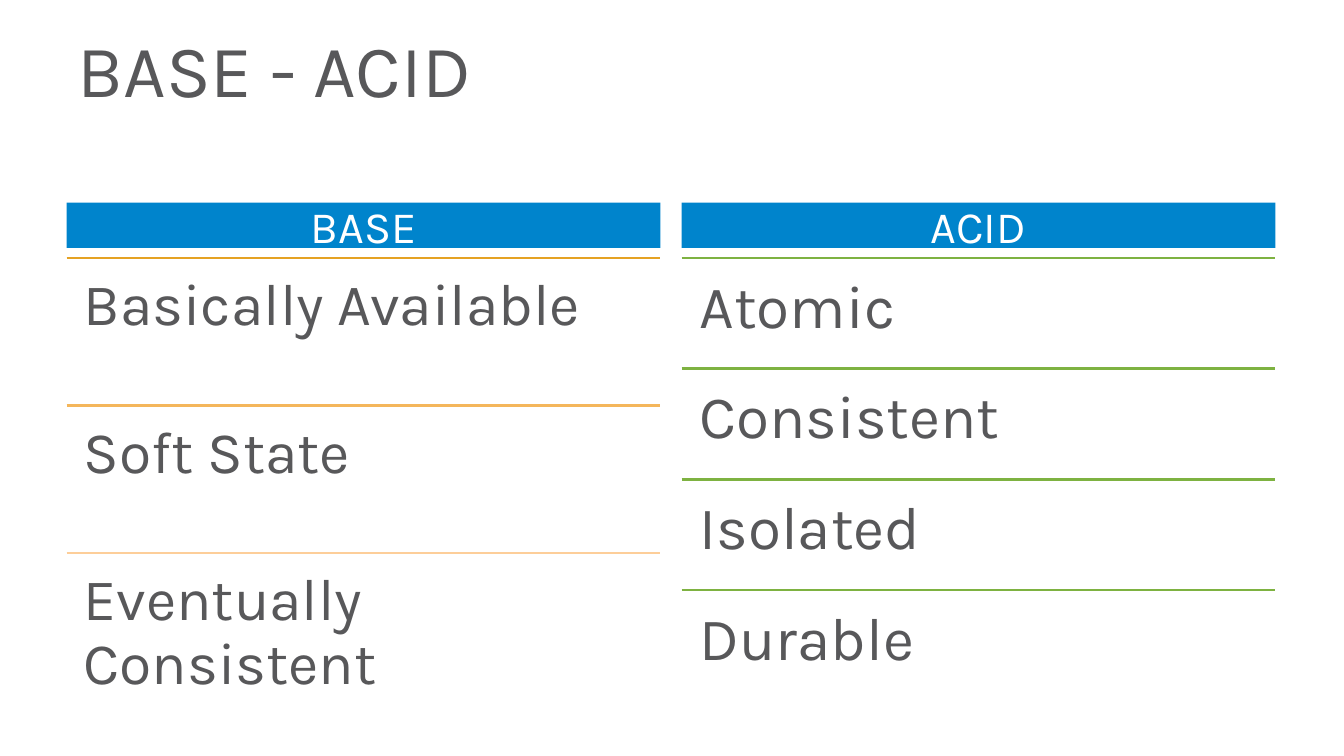
"""Build a slide that sets the BASE properties beside the ACID properties."""
from lxml.etree import SubElement
from pptx import Presentation
from pptx.dml.color import RGBColor
from pptx.enum.shapes import MSO_CONNECTOR
from pptx.enum.text import MSO_ANCHOR, MSO_AUTO_SIZE, PP_ALIGN
from pptx.oxml.ns import qn
from pptx.util import Inches, Pt

GREY = RGBColor(0x58, 0x58, 0x5A)
WHITE = RGBColor(0xFF, 0xFF, 0xFF)
BLUE = RGBColor(0x00, 0x84, 0xCC)
AMBER = RGBColor(0xE5, 0xA2, 0x23)
LIGHT_AMBER = RGBColor(0xF4, 0xB6, 0x5B)
PALE_AMBER = RGBColor(0xFD, 0xCE, 0x99)
GREEN = RGBColor(0x7E, 0xB2, 0x41)

COLUMN_WIDTH = 5.89
ROWS_TOP = 2.56
ROWS_HEIGHT = 4.39


def write(holder, text, size, color=GREY, align=PP_ALIGN.LEFT,
          anchor=MSO_ANCHOR.TOP, spacing=0.9, inset=None):
    frame = holder.text_frame
    frame.word_wrap = True
    frame.auto_size = MSO_AUTO_SIZE.NONE
    frame.vertical_anchor = anchor
    if inset is not None:
        frame.margin_left = frame.margin_right = Inches(inset)
        frame.margin_top = frame.margin_bottom = Inches(inset)
    paragraph = frame.paragraphs[0]
    paragraph.alignment = align
    paragraph.line_spacing = spacing
    paragraph.space_before = Pt(0)
    run = paragraph.add_run()
    run.text = text
    run.font.name = "Karla"
    run.font.size = Pt(size)
    run.font.bold = False
    run.font.color.rgb = color


def place(holder, left, top, width, height):
    holder.left, holder.top = Inches(left), Inches(top)
    holder.width, holder.height = Inches(width), Inches(height)


deck = Presentation()
deck.slide_width, deck.slide_height = Inches(13.33), Inches(7.5)
slide = deck.slides.add_slide(deck.slide_layouts.get_by_name("Comparison"))
title, base_header, base_content, acid_header, acid_content = slide.placeholders
for unused in (base_content, acid_content):
    unused.element.getparent().remove(unused.element)

place(title, 0.67, 0.34, 12, 0.89)
write(title, "BASE - ACID", 52.9, anchor=MSO_ANCHOR.MIDDLE, spacing=Pt(46.7))

columns = [
    (base_header, "BASE", 0.66, 42, 0.17,
     [("Basically Available", AMBER), ("Soft State", LIGHT_AMBER),
      ("Eventually Consistent", PALE_AMBER)]),
    (acid_header, "ACID", 6.76, 43, 0.18,
     [("Atomic", GREEN), ("Consistent", GREEN),
      ("Isolated", GREEN), ("Durable", GREEN)]),
]

for header, heading, left, size, inset, properties in columns:
    place(header, left, 2.01, COLUMN_WIDTH, 0.45)
    header.fill.solid()
    header.fill.fore_color.rgb = BLUE
    write(header, heading, 32, color=WHITE, align=PP_ALIGN.CENTER,
          anchor=MSO_ANCHOR.MIDDLE, spacing=1.0)

    row_height = ROWS_HEIGHT / len(properties)
    rows = slide.shapes.add_group_shape().shapes
    for index, (term, rule_color) in enumerate(properties):
        top = ROWS_TOP + index * row_height
        rule = rows.add_connector(
            MSO_CONNECTOR.STRAIGHT, Inches(left), Inches(top),
            Inches(left + COLUMN_WIDTH), Inches(top))
        rule.line.color.rgb = rule_color
        rule.line.width = Pt(2)
        SubElement(rule.element.spPr, qn("a:effectLst"))
        entry = rows.add_textbox(Inches(left), Inches(top),
                                 Inches(COLUMN_WIDTH), Inches(row_height))
        write(entry, term, size, inset=inset)

deck.save("out.pptx")
